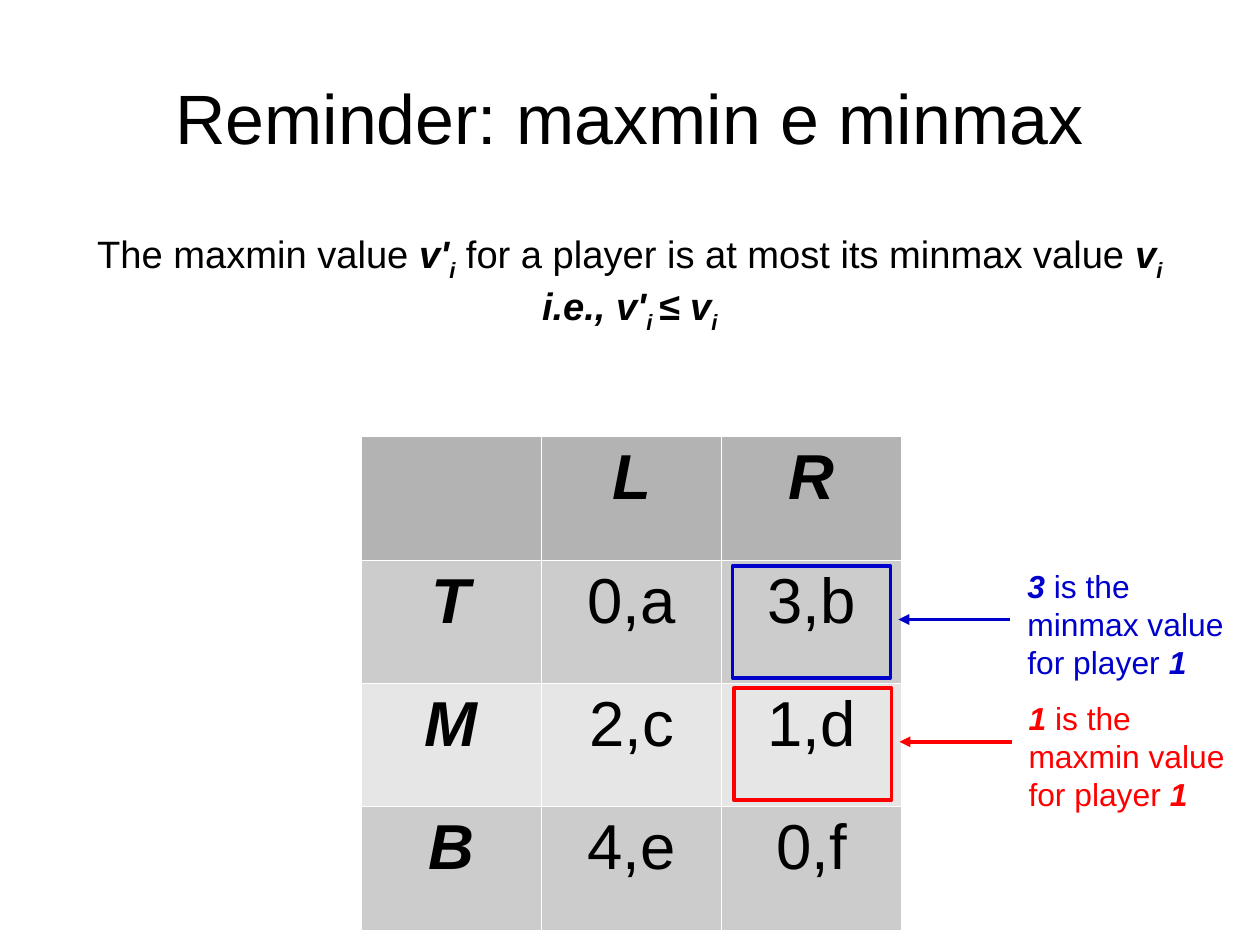
from lxml.etree import SubElement
from pptx import Presentation
from pptx.dml.color import RGBColor
from pptx.enum.shapes import MSO_CONNECTOR, MSO_SHAPE
from pptx.enum.text import MSO_ANCHOR, PP_ALIGN
from pptx.oxml.ns import qn
from pptx.util import Cm, Inches, Pt

WIDTH, HEIGHT = Cm(28), Cm(21)
COLORS = {
    "text": "000000", "grid": "FFFFFF", "head": "B3B3B3", "dark": "CCCCCC",
    "light": "E6E6E6", "minmax": "0000CC", "maxmin": "FF0000",
}
BANDS = ["head", "dark", "light", "dark"]
PAYOFFS = [
    ["", "L", "R"],
    ["T", "0,a", "3,b"],
    ["M", "2,c", "1,d"],
    ["B", "4,e", "0,f"],
]
CLAIM = [
    [("The maxmin value ", ""), ("v'", "b"), ("i", "bs"),
     (" for a player is at most its minmax value ", ""), ("v", "b"), ("i", "bs")],
    [("i.e., v'", "b"), ("i ", "bs"), ("≤ v", "b"), ("i", "bs")],
]
TABLE = (3.16, 3.82, 4.73, 4.32)


def rgb(name):
    return RGBColor.from_string(COLORS[name])


def inches(*sizes):
    return [Inches(size) for size in sizes]


def write(para, parts, size, color="text", align=PP_ALIGN.CENTER):
    """Add runs; style b is bold italic and s is subscript."""
    para.alignment = align
    for text, style in parts:
        run = para.add_run()
        run.text = text
        font = run.font
        font.name, font.size = "Arial", Pt(size)
        font.bold = font.italic = "b" in style
        font.color.rgb = rgb(color)
        if "s" in style:
            run._r.get_or_add_rPr().set("baseline", "-25000")


def add_title(slide, box):
    title = slide.shapes.title
    title.left, title.top, title.width, title.height = inches(*box)
    frame = title.text_frame
    frame.margin_left = frame.margin_right = 0
    frame.margin_top = frame.margin_bottom = 0
    frame.vertical_anchor = MSO_ANCHOR.MIDDLE
    write(frame.paragraphs[0], [("Reminder: maxmin e minmax", "")], 44)


def add_text(slide, box, lines, **style):
    frame = slide.shapes.add_textbox(*inches(*box)).text_frame
    frame.word_wrap = True
    for index, parts in enumerate(lines):
        para = frame.add_paragraph() if index else frame.paragraphs[0]
        write(para, parts, **style)


def add_border(cell):
    props = cell._tc.get_or_add_tcPr()
    for side in ("lnL", "lnR", "lnT", "lnB"):
        edge = SubElement(props, qn(f"a:{side}"), w=str(Pt(0.75)))
        fill = SubElement(edge, qn("a:solidFill"))
        SubElement(fill, qn("a:srgbClr"), val=COLORS["grid"])


def add_payoffs(slide, box):
    rows, cols = len(PAYOFFS), len(PAYOFFS[0])
    table = slide.shapes.add_table(rows, cols, *inches(*box)).table
    for row, values in enumerate(PAYOFFS):
        for col, value in enumerate(values):
            cell = table.cell(row, col)
            add_border(cell)
            cell.fill.solid()
            cell.fill.fore_color.rgb = rgb(BANDS[row])
            if value:
                style = "b" if row == 0 or col == 0 else ""
                write(cell.text_frame.paragraphs[0], [(value, style)], 40)


def set_line(shape, color):
    line = shape.line
    line.color.rgb = rgb(color)
    line.width = Pt(2.3)
    ln = line._get_or_add_ln()
    SubElement(ln, qn("a:round"))
    return ln


def add_mark(slide, box, name, value):
    """Frame a payoff and point to it from a note on its right."""
    left, top, width, height = box
    frame = slide.shapes.add_shape(MSO_SHAPE.RECTANGLE, *inches(*box))
    frame.shadow.inherit = False
    frame.fill.background()
    set_line(frame, name)

    tip, level = left + width + 0.07, top + height / 2 - 0.02
    arrow = slide.shapes.add_connector(
        MSO_CONNECTOR.STRAIGHT, *inches(tip + 0.98, level, tip, level))
    SubElement(set_line(arrow, name), qn("a:tailEnd"), type="triangle")
    SubElement(arrow._element.spPr, qn("a:effectLst"))

    note = [(value, "b"), (f" is the {name} value for player ", ""), ("1", "b")]
    note_top = top - 0.04 if name == "minmax" else top + 0.04
    add_text(slide, (left + 2.48, note_top, 2.05, 1.05), [note],
             size=20, color=name, align=PP_ALIGN.LEFT)


def main():
    deck = Presentation()
    deck.slide_width, deck.slide_height = WIDTH, HEIGHT
    slide = deck.slides.add_slide(deck.slide_layouts[5])
    add_title(slide, (0.55, 0.33, 9.92, 1.38))
    add_payoffs(slide, TABLE)
    add_mark(slide, (6.42, 6.02, 1.38, 0.98), "maxmin", "1")
    add_mark(slide, (6.41, 4.95, 1.38, 0.98), "minmax", "3")
    add_text(slide, (0.39, 1.97, 10.24, 1.48), CLAIM, size=24)
    deck.save("out.pptx")


if __name__ == "__main__":
    main()
